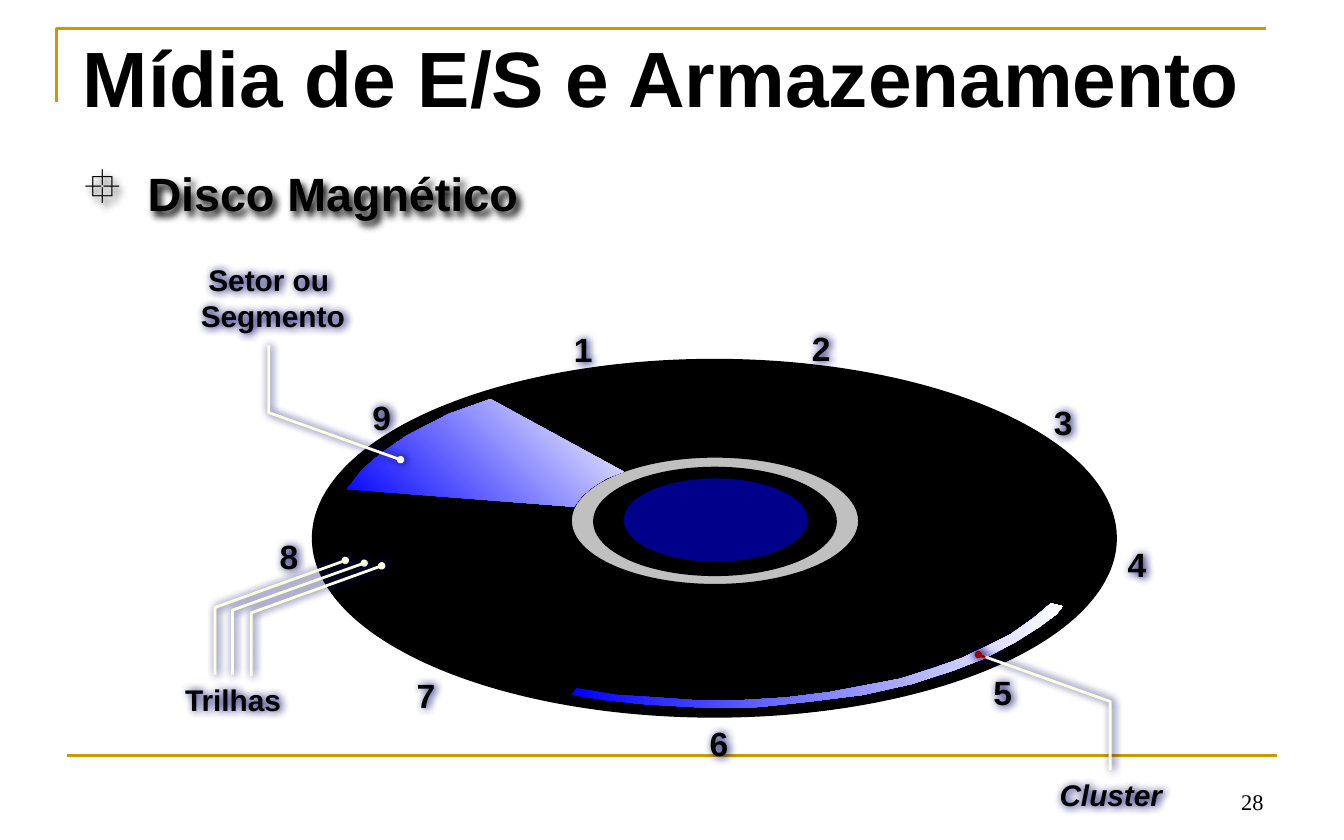
from lxml.etree import SubElement
from pptx import Presentation
from pptx.dml.color import RGBColor
from pptx.enum.shapes import MSO_CONNECTOR as Connector, MSO_SHAPE as Shape
from pptx.enum.text import MSO_ANCHOR as Anchor, PP_ALIGN as Align
from pptx.oxml.ns import qn
from pptx.util import Inches, Pt

TITLE = "Mídia de E/S e Armazenamento "
TOPIC = "Disco Magnético"
TARGET_BULLET = ("Wingdings", "°")
PAGE = "28"
BLACK, GOLD, CREAM, RED = "000000", "CC9900", "FFFFE1", "990000"
GLOW = ("000066", 5, 1, 0)
TOPIC_SHADOW = (BLACK, 4, 3, 45)

CORNER = [(0.42, 0.76), (0.42, 0.21), (9.42, 0.21)]
FOOT_RULE = ((0.5, 5.62), (9.5, 5.62))
DISK = (2.32, 2.67, 5.99, 2.67)
INNER_RING = (4.13, 3.36, 2.37, 1.05)
OUTER_RING = (2.47, 2.72, 5.7, 2.55)
RING_COUNT = 15
SPOKES = [
    ((2.73, 4.52), (4.37, 4.1)), ((4.24, 5.18), (4.94, 4.32)),
    ((5.7, 4.33), (6.4, 5.17)), ((6.27, 4.1), (7.91, 4.51)),
    ((2.59, 3.64), (4.28, 3.78)), ((3.65, 2.97), (4.65, 3.51)),
    ((5.32, 2.72), (5.32, 3.41)), ((5.98, 3.51), (6.98, 2.96)),
    ((6.37, 3.77), (8.06, 3.64)),
]
HUB = [
    ((4.25, 3.4, 2.14, 0.95), "C0C0C0", 0.75),
    ((4.42, 3.48, 1.8, 0.8), BLACK, 1),
    ((4.64, 3.56, 1.37, 0.62), "00008A", 0),
]
SECTOR_NUMBERS = [
    (4.27, 2.45), (6.04, 2.44), (7.84, 2.99), (8.39, 4.05), (7.39, 5),
    (5.28, 5.38), (3.1, 5.02), (2.08, 3.99), (2.77, 2.95),
]
CAPTIONS = [
    ("Setor ou\n Segmento", (1.43, 1.95, 1.14, 0.45), False),
    ("Trilhas", (1.21, 5.07, 1.05, 0.22), False),
    ("Cluster", (7.74, 5.78, 1.05, 0.22), True),
]
SECTOR = [
    (2.58, 3.64), (4.27, 3.77), (4.33, 3.69), (4.4, 3.63), (4.51, 3.56),
    (4.64, 3.51), (3.65, 2.97), (3.34, 3.08), (3.03, 3.24), (2.84, 3.37),
    (2.7, 3.49),
]
CLUSTER = [
    (4.25, 5.17), (4.51, 5.21), (4.8, 5.24), (5.15, 5.26), (5.38, 5.27),
    (5.65, 5.26), (6.02, 5.22), (6.42, 5.17), (6.78, 5.09), (7.09, 4.99),
    (7.32, 4.9), (7.55, 4.78), (7.74, 4.66), (7.86, 4.57), (7.91, 4.51),
    (7.82, 4.49), (7.69, 4.6), (7.52, 4.72), (7.34, 4.81), (7.15, 4.9),
    (6.95, 4.97), (6.7, 5.05), (6.49, 5.09), (6.17, 5.15), (5.85, 5.19),
    (5.52, 5.21), (5.17, 5.21), (4.89, 5.19), (4.58, 5.17), (4.29, 5.12),
]
TRACK_LEADERS = [
    [(2.57, 4.17), (1.6, 4.52), (1.6, 5.02)],
    [(2.71, 4.19), (1.73, 4.54), (1.73, 5.02)],
    [(2.84, 4.21), (1.87, 4.56), (1.87, 5.03)],
]
SECTOR_LEADER = [(2.98, 3.42), (2, 3.07), (2, 2.57)]
CLUSTER_LEADER = [(7.28, 4.87), (8.26, 5.22), (8.26, 5.73)]
CLUSTER_DOT = [(7.28, 4.87), (7.33, 4.89)]


def rgb(value):
    return RGBColor.from_string(value)


def paint_line(shape, color, width):
    if width:
        shape.line.color.rgb = rgb(color)
        shape.line.width = Pt(width)
    else:
        shape.line.fill.background()


def cast_shadow(shape, color, blur, distance, angle):
    shape.shadow.inherit = False
    effects = shape._element.spPr.find(qn("a:effectLst"))
    outer = SubElement(effects, qn("a:outerShdw"), blurRad=str(Pt(blur)),
                       dist=str(Pt(distance)), dir=str(angle * 60000))
    SubElement(outer, qn("a:srgbClr"), val=color)


def ellipse(shapes, box, fill=None, width=0.75):
    oval = shapes.add_shape(Shape.OVAL, *map(Inches, box))
    oval.shadow.inherit = False
    if fill:
        oval.fill.solid()
        oval.fill.fore_color.rgb = rgb(fill)
    else:
        oval.fill.background()
    paint_line(oval, BLACK, width)


def straight(shapes, start, end, color, width):
    line = shapes.add_connector(Connector.STRAIGHT, *map(Inches, start + end))
    paint_line(line, color, width)
    SubElement(line._element.spPr, qn("a:effectLst"))


def outline(shapes, points, close):
    (x, y), *rest = [tuple(map(Inches, point)) for point in points]
    builder = shapes.build_freeform(x, y)
    builder.add_line_segments(rest, close=close)
    path = builder.convert_to_shape()
    path.shadow.inherit = False
    return path


def polyline(shapes, points, color):
    path = outline(shapes, points, False)
    path.fill.background()
    paint_line(path, color, 1.5)
    return path


def leader(shapes, points, color=CREAM, shadow=GLOW):
    path = polyline(shapes, points, color)
    SubElement(path.line._get_or_add_ln(), qn("a:headEnd"), type="oval", w="sm", len="sm")
    cast_shadow(path, *shadow)


def gradient_patch(shapes, points, angle):
    patch = outline(shapes, points, True)
    patch.fill.gradient()
    patch.fill.gradient_angle = angle
    for stop, color in zip(patch.fill.gradient_stops, ("0000FF", "FFFFFF")):
        stop.color.rgb = rgb(color)
    paint_line(patch, BLACK, 0)


def style_text(frame, size, align, bold=True, italic=False, face="Arial"):
    for paragraph in frame.paragraphs:
        paragraph.alignment = align
        for run in paragraph.runs:
            run.font.size, run.font.name = Pt(size), face
            run.font.bold, run.font.italic = bold, italic
            run.font.color.rgb = rgb(BLACK)


def label(shapes, text, box, size, italic=False):
    caption = shapes.add_textbox(*map(Inches, box))
    frame = caption.text_frame
    frame.margin_left = frame.margin_right = frame.margin_top = frame.margin_bottom = 0
    frame.word_wrap = False
    frame.text = text
    style_text(frame, size, Align.CENTER, italic=italic)
    cast_shadow(caption, *GLOW)


def add_headings(slide):
    title = slide.shapes.title
    title.left, title.top, title.width, title.height = map(Inches, (-0.35, 0.24, 9.83, 0.66))
    title.text_frame.text = TITLE
    title.text_frame.vertical_anchor = Anchor.MIDDLE
    style_text(title.text_frame, 42, Align.RIGHT)

    topic = slide.shapes.add_textbox(*map(Inches, (0.51, 1.1, 7.96, 0.67)))
    topic.text_frame.word_wrap = True
    topic.text_frame.vertical_anchor = Anchor.MIDDLE
    topic.text_frame.text = TOPIC
    props = topic.text_frame.paragraphs[0]._p.get_or_add_pPr()
    props.set("marL", str(Inches(0.49)))
    props.set("indent", str(Inches(-0.49)))
    face, symbol = TARGET_BULLET
    SubElement(SubElement(props, qn("a:buClr")), qn("a:srgbClr"), val=BLACK)
    SubElement(props, qn("a:buFont"), typeface=face, pitchFamily="2", charset="2")
    SubElement(props, qn("a:buChar"), char=symbol)
    style_text(topic.text_frame, 25, Align.LEFT)
    cast_shadow(topic, *TOPIC_SHADOW)

    page = slide.shapes.add_textbox(*map(Inches, (7.17, 5.69, 2.33, 0.42)))
    page.text_frame.word_wrap = True
    page.text_frame.vertical_anchor = Anchor.BOTTOM
    page.text_frame.text = PAGE
    style_text(page.text_frame, 12, Align.RIGHT, bold=False, face="Times New Roman")


def add_disk(shapes):
    ellipse(shapes, DISK, BLACK, 0)
    for ring in range(RING_COUNT):
        share = ring / (RING_COUNT - 1)
        ellipse(shapes, [a + (b - a) * share for a, b in zip(INNER_RING, OUTER_RING)])
    for start, end in SPOKES:
        straight(shapes, start, end, BLACK, 0.75)
    for box, fill, width in HUB:
        ellipse(shapes, box, fill, width)
    for number, (left, top) in enumerate(SECTOR_NUMBERS, 1):
        label(shapes, str(number), (left, top, 0.14, 0.25), 18)
    for points in TRACK_LEADERS:
        leader(shapes, points)
    gradient_patch(shapes, SECTOR, 45)
    leader(shapes, SECTOR_LEADER)
    gradient_patch(shapes, CLUSTER, 0)
    leader(shapes, CLUSTER_LEADER)
    leader(shapes, CLUSTER_DOT, RED, ("000066", 5, 0, 0))
    for text, box, italic in CAPTIONS:
        label(shapes, text, box, 16, italic)


def main():
    """Build the magnetic disk slide."""
    deck = Presentation()
    deck.slide_width, deck.slide_height = Inches(10), Inches(6.25)
    slide = deck.slides.add_slide(deck.slide_layouts[5])
    polyline(slide.shapes, CORNER, GOLD)
    straight(slide.shapes, *FOOT_RULE, GOLD, 1.5)
    add_headings(slide)
    add_disk(slide.shapes)
    deck.save("out.pptx")


if __name__ == "__main__":
    main()
